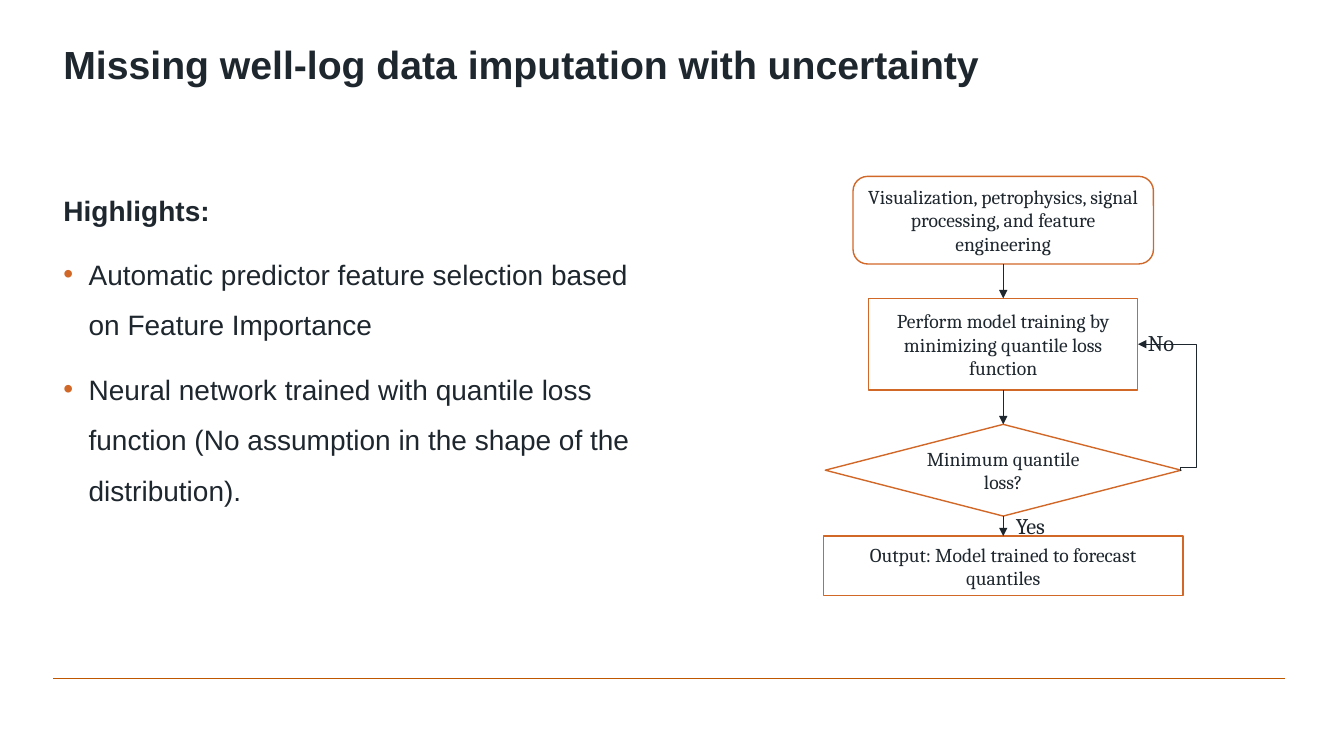
from dataclasses import dataclass

from lxml import etree
from pptx import Presentation
from pptx.dml.color import RGBColor
from pptx.enum.shapes import MSO_CONNECTOR, MSO_SHAPE
from pptx.enum.text import MSO_ANCHOR, PP_ALIGN
from pptx.oxml.ns import qn
from pptx.util import Pt

ROUND = MSO_SHAPE.ROUNDED_RECTANGLE
RECT = MSO_SHAPE.RECTANGLE
CHOICE = MSO_SHAPE.FLOWCHART_DECISION
STRAIGHT = MSO_CONNECTOR.STRAIGHT
TOP, MIDDLE = MSO_ANCHOR.TOP, MSO_ANCHOR.MIDDLE
LEFT, CENTER = PP_ALIGN.LEFT, PP_ALIGN.CENTER


@dataclass(frozen=True)
class Theme:
    ink: str = "1E262E"
    accent: str = "D16828"
    rule: str = "BF5700"
    paper: str = "FFFFFF"
    sans: str = "Arial"
    serif: str = "Cambria"
    title: int = 28
    body: int = 20
    label: int = 16
    step: int = 14
    thin: float = 0.5
    edge: float = 1


THEME = Theme()
AXIS = 716.6  # centre line of the flowchart

# kind, width, top, height, text; from first step to last
STEPS = [
    (ROUND, 214.6, 126, 62.6,
     "Visualization, petrophysics, signal processing, and feature engineering"),
    (RECT, 192.2, 213.1, 65.5,
     "Perform model training by minimizing quantile loss function"),
    (CHOICE, 254.2, 303.1, 65.5, "Minimum quantile loss?"),
    (RECT, 257, 383, 42.5, "Output: Model trained to forecast quantiles"),
]
POINTS = [
    "Automatic predictor feature selection based on Feature Importance",
    "Neural network trained with quantile loss function "
    "(No assumption in the shape of the distribution).",
]
LOOP = [(843.1, 336.2), (843.1, 334.1), (854.6, 334.1),
        (854.6, 245.9), (812.9, 245.9)]


def color(code):
    return RGBColor.from_string(code)


def write(frame, text, size, font=THEME.sans, bold=False, align=LEFT,
          space=1.0, before=0, bullet=False):
    """Fill the first paragraph, or add one when it already has text."""
    para = frame.paragraphs[0]
    if para.runs:
        para = frame.add_paragraph()
    para.alignment = align
    para.line_spacing = space
    para.space_before = Pt(before)
    if bullet:
        mark(para)
    run = para.add_run()
    run.text = text
    run.font.size = Pt(size)
    run.font.name = font
    run.font.bold = bold
    run.font.color.rgb = color(THEME.ink)


def mark(para):
    """Give a paragraph a coloured bullet and a hanging indent."""
    props = para._p.get_or_add_pPr()
    props.set("marL", str(Pt(18)))
    props.set("indent", str(Pt(-18)))
    tint = etree.SubElement(props, qn("a:buClr"))
    etree.SubElement(tint, qn("a:srgbClr"), val=THEME.accent)
    etree.SubElement(props, qn("a:buFont"), typeface=THEME.sans)
    etree.SubElement(props, qn("a:buChar"), char="•")


def add_box(slide, left, top, width, height, wrap=True):
    box = slide.shapes.add_textbox(Pt(left), Pt(top), Pt(width), Pt(height))
    frame = box.text_frame
    frame.word_wrap = wrap
    frame.vertical_anchor = TOP
    return frame


def add_step(slide, kind, width, top, height, text):
    shape = slide.shapes.add_shape(
        kind, Pt(AXIS - width / 2), Pt(top), Pt(width), Pt(height))
    shape.shadow.inherit = False
    shape.fill.solid()
    shape.fill.fore_color.rgb = color(THEME.paper)
    shape.line.color.rgb = color(THEME.accent)
    shape.line.width = Pt(THEME.edge)
    frame = shape.text_frame
    frame.word_wrap = True
    frame.vertical_anchor = MIDDLE
    write(frame, text, THEME.step, font=THEME.serif, align=CENTER)


def stroke(shape, tint, arrow):
    shape.line.color.rgb = color(tint)
    shape.line.width = Pt(THEME.thin)
    if arrow:
        line = shape.line._get_or_add_ln()
        etree.SubElement(line, qn("a:tailEnd"), type="triangle")


def add_line(slide, x1, y1, x2, y2, tint=THEME.ink, arrow=True):
    line = slide.shapes.add_connector(
        STRAIGHT, Pt(x1), Pt(y1), Pt(x2), Pt(y2))
    stroke(line, tint, arrow)
    etree.SubElement(line._element.spPr, qn("a:effectLst"))


def add_loop(slide, spots):
    """Draw an open bent arrow through the given points."""
    start, *rest = [(Pt(x), Pt(y)) for x, y in spots]
    form = slide.shapes.build_freeform(*start)
    form.add_line_segments(rest, close=False)
    shape = form.convert_to_shape()
    shape.fill.background()
    stroke(shape, THEME.ink, True)
    shape.shadow.inherit = False


def add_flow(slide):
    for step in STEPS:
        add_step(slide, *step)
    for above, below in zip(STEPS, STEPS[1:]):
        add_line(slide, AXIS, above[2] + above[3], AXIS, below[2])
    add_loop(slide, LOOP)
    for text, left, top, width in [("Yes", 718.6, 362.2, 40.3),
                                   ("No", 812.9, 231.8, 34.6)]:
        frame = add_box(slide, left, top, width, 26.6, wrap=False)
        write(frame, text, THEME.label, font=THEME.serif)


def main():
    deck = Presentation()
    deck.slide_width, deck.slide_height = Pt(960), Pt(540)
    slide = deck.slides.add_slide(deck.slide_layouts[6])

    add_line(slide, 38.2, 484.6, 918, 484.6, tint=THEME.rule, arrow=False)
    title = add_box(slide, 38.2, 28.8, 879.8, 45.4)
    write(title, "Missing well-log data imputation with uncertainty",
          THEME.title, bold=True, space=0.9)

    body = add_box(slide, 38.2, 122.4, 442, 262.8)
    write(body, "Highlights:", THEME.body, bold=True, space=1.5, before=10)
    for text in POINTS:
        write(body, text, THEME.body, space=1.5, before=10, bullet=True)

    add_flow(slide)
    deck.save("out.pptx")


if __name__ == "__main__":
    main()
